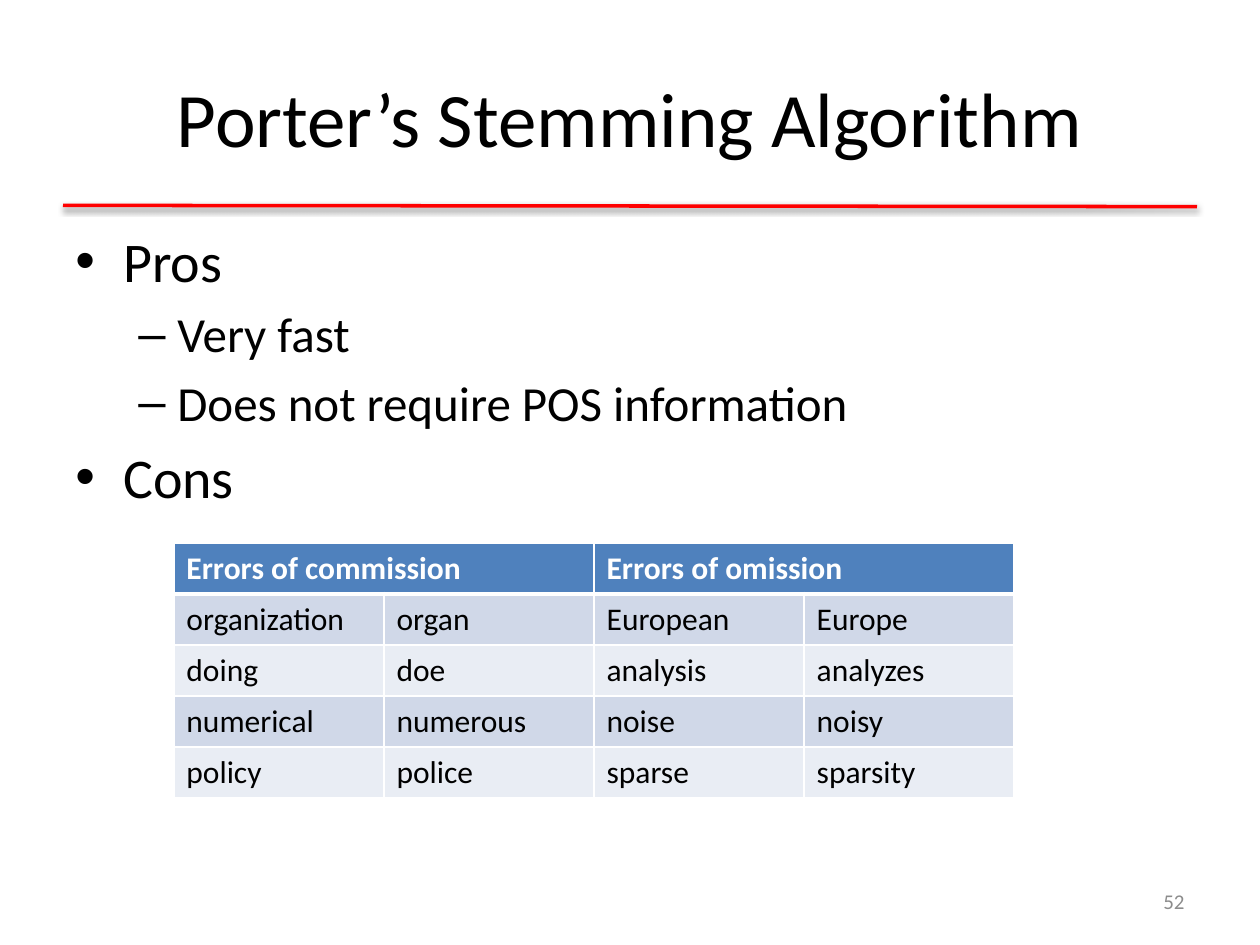
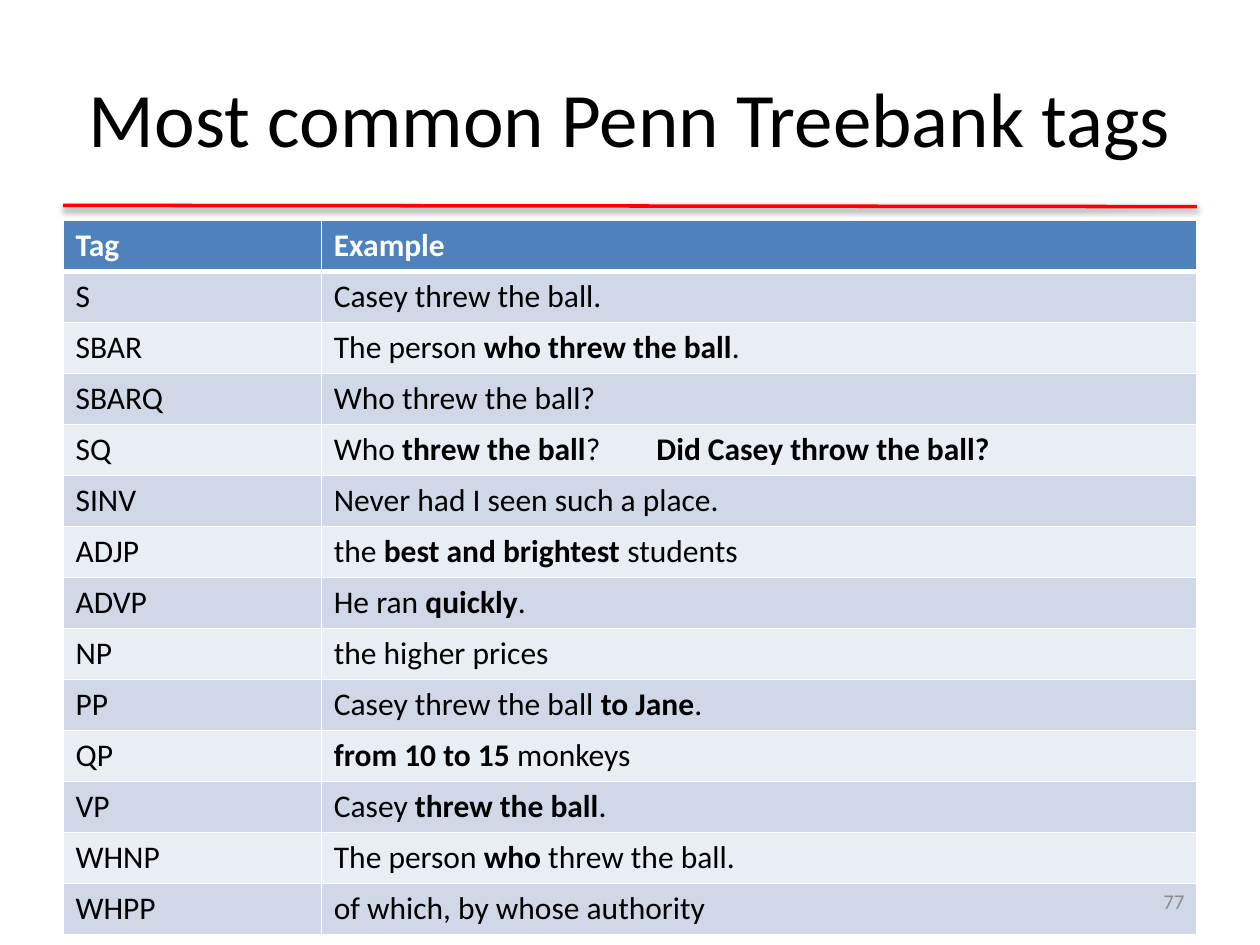
from dataclasses import dataclass
from itertools import cycle

from lxml import etree
from pptx import Presentation
from pptx import util as u
from pptx.dml.color import RGBColor
from pptx.enum import shapes, text
from pptx.oxml import parse_xml
from pptx.oxml.ns import nsdecls, qn

# Grid of 40 columns by 30 rows
SLIDE_W, SLIDE_H = u.Inches(10), u.Inches(7.5)
COLS, ROWS = 40, 30
ROW_H = 1.62

FONT = "Calibri"
BLACK, WHITE, RED, GREY = "000000", "FFFFFF", "FF0000", "8C8C8C"
HEADER, BANDS = "4F81BD", ("D0D8E8", "E9EDF4")


@dataclass(frozen=True)
class Box:
    col: float
    row: float
    cols: float
    rows: float

    def emu(self) -> tuple:
        return x(self.col), y(self.row), x(self.cols), y(self.rows)


@dataclass(frozen=True)
class Level:
    size: int
    bullet: str
    margin: float
    hang: float


@dataclass(frozen=True)
class Grid:
    col: float
    row: float
    widths: tuple
    rows: list
    spans: tuple = ()       # first columns of header cells that cover two


TITLE = Box(2, 1.2, 36, 5)
BODY = Box(2, 7, 36, 10.16)
NUMBER = Box(28.68, 27.8, 9.32, 1.6)
LEVELS = (Level(32, "•", 0.38, 0.38), Level(28, "–", 0.81, 0.31))


def x(cols: float) -> int:
    return round(SLIDE_W * cols / COLS)


def y(rows: float) -> int:
    return round(SLIDE_H * rows / ROWS)


def rgb(color: str) -> RGBColor:
    return RGBColor.from_string(color)


def add_run(p, words: str, size: int, color: str, bold: bool = False) -> None:
    r = p.add_run()
    r.text = words
    r.font.name, r.font.size, r.font.bold = FONT, u.Pt(size), bold
    r.font.color.rgb = rgb(color)


def add_box(s, box: Box, anchor=text.MSO_ANCHOR.TOP):
    tf = s.shapes.add_textbox(*box.emu()).text_frame
    tf.word_wrap = True
    tf.vertical_anchor = anchor
    return tf


def add_line(s, box: Box, size: int, color: str, words: str, align) -> None:
    p = add_box(s, box, text.MSO_ANCHOR.MIDDLE).paragraphs[0]
    p.alignment = align
    add_run(p, words, size, color)


def add_rule(s) -> None:
    sp = s.shapes.add_connector(shapes.MSO_CONNECTOR.STRAIGHT,
                                x(2), y(6.52), x(38), y(6.56))
    sp.line.color.rgb = rgb(RED)
    sp.line.width = u.Pt(2)
    sp._element.spPr.append(parse_xml(
        f'<a:effectLst {nsdecls("a")}><a:outerShdw blurRad="{u.Pt(3.1)}" '
        f'dist="{u.Pt(1.6)}" dir="5400000" rotWithShape="0">'
        f'<a:srgbClr val="{BLACK}"><a:alpha val="38000"/></a:srgbClr>'
        '</a:outerShdw></a:effectLst>'))


def add_bullets(s, items: list) -> None:
    tf = add_box(s, BODY)
    for i, (depth, words) in enumerate(items):
        level = LEVELS[depth]
        p = tf.add_paragraph() if i else tf.paragraphs[0]
        p.level = depth
        pPr = p._p.get_or_add_pPr()
        pPr.set("marL", str(u.Inches(level.margin)))
        pPr.set("indent", str(-u.Inches(level.hang)))
        etree.SubElement(pPr, qn("a:buFont"), typeface="Arial")
        etree.SubElement(pPr, qn("a:buChar"), char=level.bullet)
        if i:
            p.space_before = u.Pt(level.size * 0.2)
        add_run(p, words, level.size, BLACK)


def set_borders(cell, top: int, bottom: int) -> None:
    tcPr = cell._tc.get_or_add_tcPr()
    for side, width in zip("LRTB", (1, 1, top, bottom)):
        tcPr.append(parse_xml(
            f'<a:ln{side} {nsdecls("a")} w="{u.Pt(width)}"><a:solidFill>'
            f'<a:srgbClr val="{WHITE}"/></a:solidFill></a:ln{side}>'))


def fill_cell(cell, words: str, color: str, heading: bool) -> None:
    """Write a cell; words between asterisks are bold."""
    p = cell.text_frame.paragraphs[0]
    if "\t" in words:
        tabs = etree.SubElement(p._p.get_or_add_pPr(), qn("a:tabLst"))
        etree.SubElement(tabs, qn("a:tab"), pos=str(u.Inches(2.56)), algn="l")
    for i, part in enumerate(words.split("*")):
        if part:
            add_run(p, part, 18, color, heading or i % 2 == 1)


def add_grid(s, grid: Grid) -> None:
    box = Box(grid.col, grid.row, sum(grid.widths), ROW_H * len(grid.rows))
    table = s.shapes.add_table(len(grid.rows), len(grid.widths), *box.emu()).table
    table.horz_banding = False
    for column, width in zip(table.columns, grid.widths):
        column.width = x(width)
    bands = cycle(BANDS)
    for i, row in enumerate(grid.rows):
        table.rows[i].height = y(ROW_H)
        heading = i == 0
        fill, color = (HEADER, WHITE) if heading else (next(bands), BLACK)
        for j, words in enumerate(row):
            cell = table.cell(i, j)
            set_borders(cell, 3 if i == 1 else 1, 3 if heading else 1)
            cell.fill.solid()
            cell.fill.fore_color.rgb = rgb(fill)
            fill_cell(cell, words, color, heading)
    for j in grid.spans:
        table.cell(0, j).merge(table.cell(0, j + 1))


def new_slide(prs, title: str):
    s = prs.slides.add_slide(prs.slide_layouts[6])
    add_rule(s)
    add_line(s, TITLE, 44, BLACK, title, text.PP_ALIGN.CENTER)
    return s


def add_number(s, number: int) -> None:
    add_line(s, NUMBER, 12, GREY, str(number), text.PP_ALIGN.RIGHT)


STEMMING_POINTS = [
    (0, "Pros"),
    (1, "Very fast"),
    (1, "Does not require POS information"),
    (0, "Cons"),
]

STEMMING_ERRORS = Grid(5.52, 17.24, (6.67,) * 4, [
    ("Errors of commission", "", "Errors of omission", ""),
    ("organization", "organ", "European", "Europe"),
    ("doing", "doe", "analysis", "analyzes"),
    ("numerical", "numerous", "noise", "noisy"),
    ("policy", "police", "sparse", "sparsity"),
], spans=(0, 2))

TREEBANK_TAGS = Grid(2, 7, (8.2, 27.8), [
    ("Tag", "Example"),
    ("S", "Casey threw the ball."),
    ("SBAR", "The person *who threw the ball*."),
    ("SBARQ", "Who threw the ball?"),
    ("SQ", "Who *threw the ball*?\t*Did Casey throw the ball?*"),
    ("SINV", "Never had I seen such a place."),
    ("ADJP", "the *best and brightest *students"),
    ("ADVP", "He ran *quickly*."),
    ("NP", "the higher prices"),
    ("PP", "Casey threw the ball *to Jane*."),
    ("QP", "*from 10 to 15 *monkeys"),
    ("VP", "Casey *threw the ball*."),
    ("WHNP", "The person *who* threw the ball."),
    ("WHPP", "of which, by whose authority"),
])


def main() -> None:
    prs = Presentation()
    prs.slide_width, prs.slide_height = SLIDE_W, SLIDE_H

    # Stemming: pros, cons and typical errors
    s = new_slide(prs, "Porter’s Stemming Algorithm")
    add_bullets(s, STEMMING_POINTS)
    add_grid(s, STEMMING_ERRORS)
    add_number(s, 52)

    # Treebank tags with examples
    s = new_slide(prs, "Most common Penn Treebank tags")
    add_grid(s, TREEBANK_TAGS)
    add_number(s, 77)

    prs.save("out.pptx")


if __name__ == "__main__":
    main()
